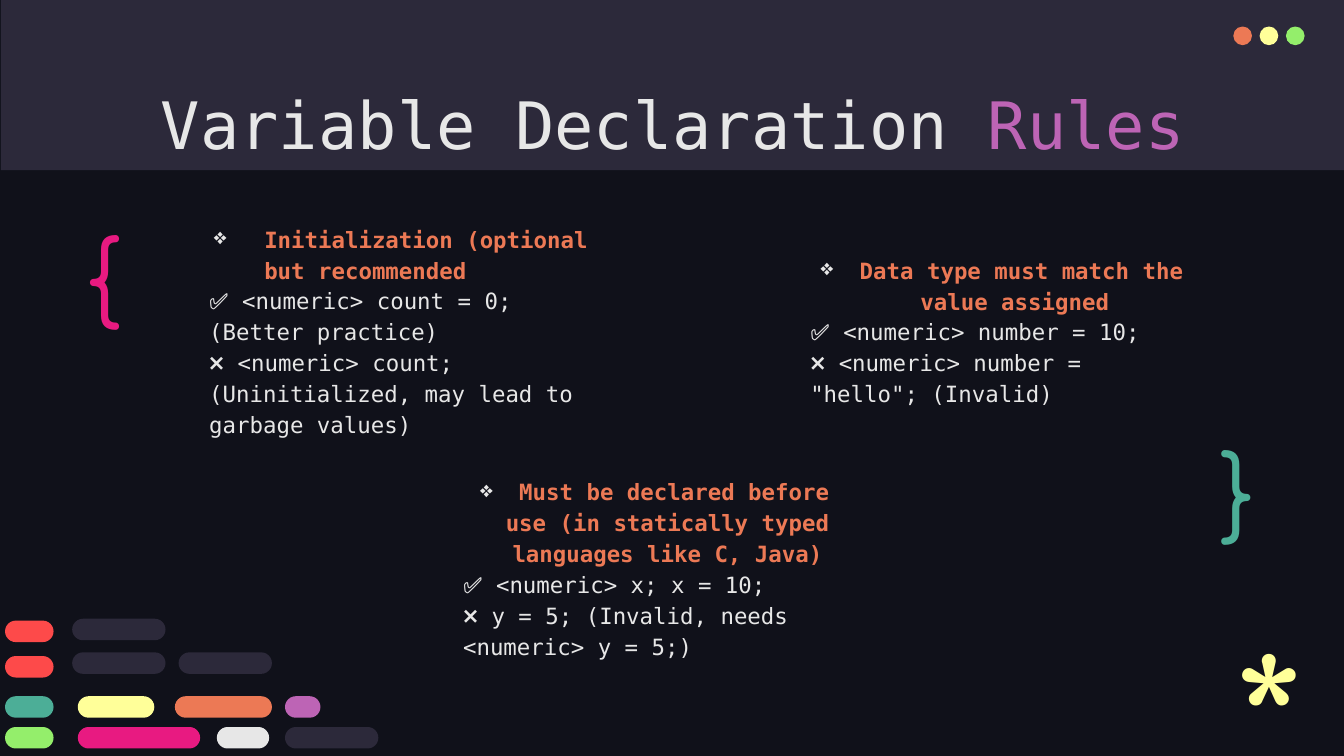
from lxml.etree import SubElement
from pptx import Presentation
from pptx.dml.color import RGBColor
from pptx.enum.shapes import MSO_SHAPE as Shape
from pptx.enum.text import MSO_ANCHOR as Anchor, PP_ALIGN as Align
from pptx.oxml.ns import qn
from pptx.util import Pt

NIGHT = RGBColor(0x10, 0x11, 0x1A)
SLATE = RGBColor(0x2C, 0x29, 0x3A)
ORANGE = RGBColor(0xEC, 0x79, 0x55)
YELLOW = RGBColor(0xFF, 0xFF, 0x99)
GREEN = RGBColor(0x94, 0xEE, 0x6B)
WHITE = RGBColor(0xE7, 0xE7, 0xE7)
PURPLE = RGBColor(0xBD, 0x64, 0xB5)
PINK = RGBColor(0xE8, 0x1A, 0x81)
TEAL = RGBColor(0x4C, 0xAE, 0x97)
RED = RGBColor(0xFD, 0x4A, 0x4A)
CODE_FONT = "DejaVu Sans Mono"
SYMBOL_FONT = "Comfortaa"


def add_filled(slide, kind, box, color):
    """Add a plain filled shape without line or shadow."""
    shape = slide.shapes.add_shape(kind, *map(Pt, box))
    shape.shadow.inherit = False
    shape.fill.solid()
    shape.fill.fore_color.rgb = color
    shape.line.fill.background()
    return shape


def add_text_frame(slide, box, top_inset=7.2):
    """Add a wrapping text box and return its frame."""
    frame = slide.shapes.add_textbox(*map(Pt, box)).text_frame
    frame.word_wrap = True
    frame.margin_left = frame.margin_right = frame.margin_bottom = Pt(7.2)
    frame.margin_top = Pt(top_inset)
    return frame


def style(run, size, color, name=CODE_FONT, bold=False):
    """Set the font of a run."""
    run.font.size = Pt(size)
    run.font.name = name
    run.font.bold = bold
    run.font.color.rgb = color


def add_bullet(paragraph, margin, hang):
    """Give a paragraph a hanging diamond bullet."""
    properties = paragraph._p.get_or_add_pPr()
    properties.set("marL", str(Pt(margin)))
    properties.set("indent", str(-Pt(hang)))
    color = SubElement(properties, qn("a:buClr"))
    SubElement(color, qn("a:srgbClr"), val=str(WHITE))
    SubElement(properties, qn("a:buChar"), char="❖")


def add_header(slide, box):
    """Draw the title band with its window dots and two-colour title."""
    left, top, width, height = box
    add_filled(slide, Shape.RECTANGLE, box, SLATE)
    for index, color in enumerate((ORANGE, YELLOW, GREEN)):
        dot = (left + 660.2 + 14.1 * index, top + 14.2, 10, 10)
        add_filled(slide, Shape.OVAL, dot, color)
    frame = add_text_frame(slide, (left + 56.5, top + 35.3, 607, 45.4), 10)
    paragraph = frame.paragraphs[0]
    paragraph.alignment = Align.CENTER
    for text, color in (("Variable Declaration ", WHITE), ("Rules", PURPLE)):
        run = paragraph.add_run()
        run.text = text
        style(run, 35, color)


def add_rule(slide, box, heading, examples, align=Align.CENTER,
             margin=13.7, hang=13.7, top_inset=7.2):
    """Write a bulleted rule heading followed by its code examples."""
    frame = add_text_frame(slide, box, top_inset)
    frame.text = "\n".join((heading, *examples))
    for index, paragraph in enumerate(frame.paragraphs):
        is_heading = index == 0
        paragraph.line_spacing = 1.15
        paragraph.alignment = align if is_heading else Align.LEFT
        if is_heading:
            add_bullet(paragraph, margin, hang)
        color = ORANGE if is_heading else WHITE
        style(paragraph.runs[0], 12, color, bold=is_heading)


def add_symbol(slide, box, text, size, color, anchor=Anchor.TOP):
    """Place one large decorative code symbol."""
    frame = add_text_frame(slide, box)
    frame.vertical_anchor = anchor
    frame.text = text
    style(frame.paragraphs[0].runs[0], size, color, SYMBOL_FONT)


def add_code_bars(slide, box):
    """Draw rows of rounded bars that look like lines of code."""
    left, top, _, height = box
    rows = (
        (0, ((36, 50, SLATE),)),
        (1, ((0, 26, RED),)),
        (18, ((36, 50, SLATE), (93, 50, SLATE))),
        (20, ((0, 26, RED),)),
        (41.5, ((0, 26, TEAL), (39, 41, YELLOW),
                (91, 52, ORANGE), (150, 19, PURPLE))),
        (58, ((0, 26, GREEN), (39, 65.5, PINK),
              (113.5, 28, WHITE), (150, 50, SLATE))),
    )
    for row_top, bars in rows:
        for bar_left, width, color in bars:
            bar = (left + bar_left, top + row_top, width, height - 58)
            shape = add_filled(slide, Shape.ROUNDED_RECTANGLE, bar, color)
            shape.adjustments[0] = 0.5


def build_slide(presentation):
    """Build the variable declaration rules slide."""
    slide = presentation.slides.add_slide(presentation.slide_layouts[6])
    slide.background.fill.solid()
    slide.background.fill.fore_color.rgb = NIGHT
    add_header(slide, (0.5, 0, 720, 91.2))
    add_rule(slide, (427, 111.6, 219.6, 116.6),
             " Data type must match the value assigned",
             ("✅ <numeric> number = 10;",
              '❌ <numeric> number = "hello"; (Invalid)'), top_inset=23.8)
    add_rule(slide, (241, 247, 219.6, 116.6),
             " Must be declared before use (in statically typed "
             "languages like C, Java)",
             ("✅ <numeric> x; x = 10;",
              "❌ y = 5; (Invalid, needs <numeric> y = 5;)"))
    add_rule(slide, (105, 111.6, 219.6, 116.6),
             "Initialization (optional but recommended",
             ("✅ <numeric> count = 0; (Better practice)",
              "❌ <numeric> count; (Uninitialized, may lead to garbage values)"),
             align=Align.LEFT, margin=29.5, hang=27)
    add_symbol(slide, (39, 108, 55.4, 68.4), "{", 50, PINK)
    add_symbol(slide, (646.6, 230.4, 41, 59.8), "}", 50, TEAL, Anchor.MIDDLE)
    add_code_bars(slide, (2.7, 331.5, 200, 69.5))
    add_symbol(slide, (654.5, 322.6, 41, 62.6), "*", 96, YELLOW)


def main():
    """Create and save the presentation."""
    presentation = Presentation()
    presentation.slide_width = Pt(720)
    presentation.slide_height = Pt(405)
    build_slide(presentation)
    presentation.save("out.pptx")


if __name__ == "__main__":
    main()
